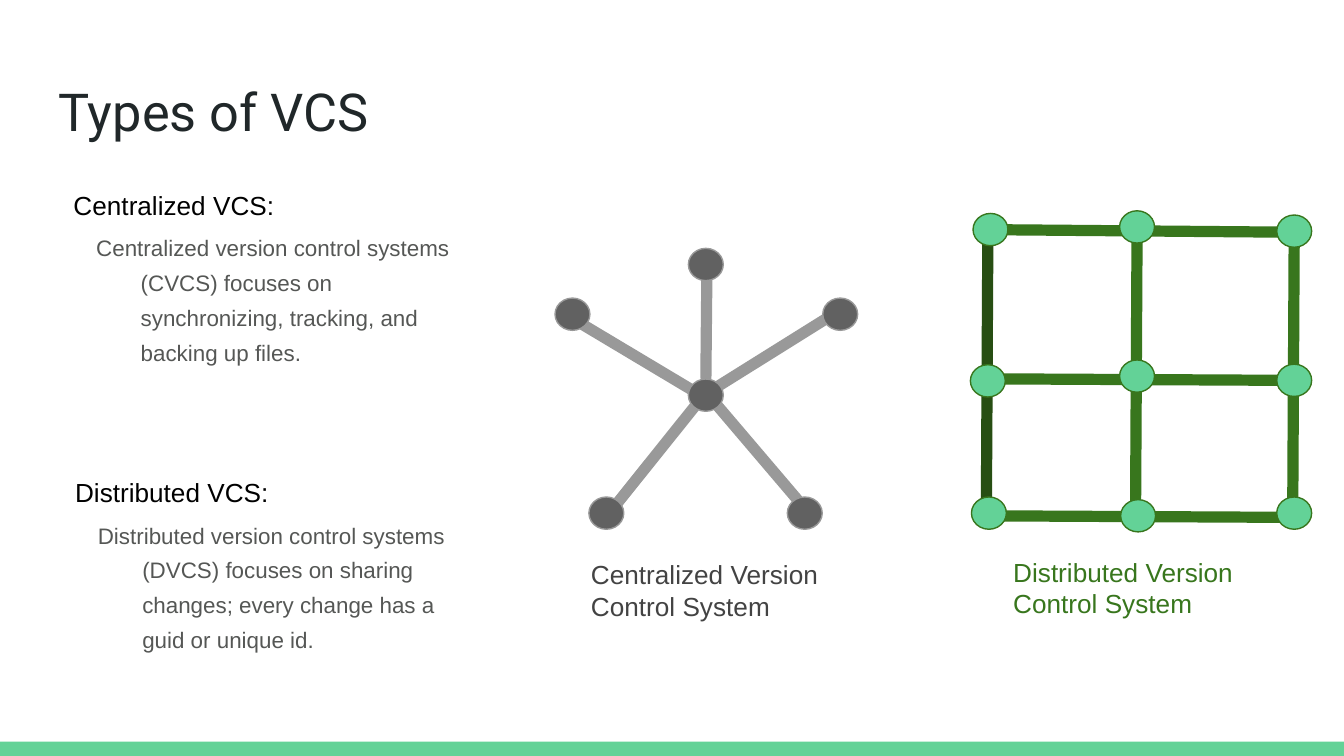
from pptx import Presentation
from pptx import util as u
from pptx.dml.color import RGBColor
from pptx.enum import shapes, text
from pptx.oxml.ns import qn
from lxml import etree

MINT = RGBColor(0x63, 0xD2, 0x97)
GREEN = RGBColor(0x38, 0x76, 0x1D)
DARK_GREEN = RGBColor(0x27, 0x4E, 0x13)
GRAY = RGBColor(0x99, 0x99, 0x99)
DARK_GRAY = RGBColor(0x61, 0x61, 0x61)
CAPTION_GRAY = RGBColor(0x43, 0x43, 0x43)
BODY_GRAY = RGBColor(0x55, 0x57, 0x55)
INK = RGBColor(0x20, 0x27, 0x29)
BLACK = RGBColor(0, 0, 0)

NODE_WIDTH, NODE_HEIGHT = 0.66, 0.61

deck = Presentation()
deck.slide_width, deck.slide_height = u.Cm(25.4), u.Cm(14.29)
page = deck.slides.add_slide(deck.slide_layouts[6])


def add_frame(left, top, width, height):
    """Add a wrapping text box and return its text frame."""
    box = page.shapes.add_textbox(u.Cm(left), u.Cm(top), u.Cm(width), u.Cm(height))
    frame = box.text_frame
    frame.word_wrap = True
    frame.vertical_anchor = text.MSO_ANCHOR.TOP
    frame.margin_left = frame.margin_right = u.Cm(0.25)
    frame.margin_top = frame.margin_bottom = u.Cm(0.25)
    return frame


def write(para, words, *, size=14, color=BLACK, font="Arial"):
    span = para.add_run()
    span.text = words
    span.font.size = u.Pt(size)
    span.font.name = font
    span.font.color.rgb = color


footer = page.shapes.add_shape(
    shapes.MSO_SHAPE.RECTANGLE, 0, u.Cm(14.02), deck.slide_width, u.Cm(0.27))
footer.shadow.inherit = False
footer.fill.solid()
footer.fill.fore_color.rgb = MINT
footer.line.fill.background()

title = add_frame(0.86, 1.24, 23.67, 1.6)
write(title.paragraphs[0], "Types of VCS", size=28, color=INK, font="Roboto")

# Each network: links (x1, y1, x2, y2, color), node centers, node fill, node outline
grid_links = [
    (18.57, 4.34, 24.49, 4.39, GREEN),
    (18.64, 9.86, 18.67, 4.29, DARK_GREEN),
    (24.54, 9.78, 18.62, 9.75, GREEN),
    (24.46, 4.27, 24.43, 9.86, GREEN),
    (21.49, 4.45, 21.46, 9.78, GREEN),
    (18.57, 7.16, 24.49, 7.19, GREEN),
]
grid_nodes = [
    (18.72, 4.34), (21.49, 4.29), (24.46, 4.37),
    (18.67, 7.2), (21.49, 7.11), (24.46, 7.19),
    (18.69, 9.7), (21.51, 9.75), (24.46, 9.7),
]
star_links = [
    (13.34, 7.16, 13.36, 5.08, GRAY),
    (11.61, 9.58, 13.18, 7.62, GRAY),
    (15.16, 9.55, 13.56, 7.67, GRAY),
    (10.87, 6.05, 13.11, 7.39, GRAY),
    (13.54, 7.32, 15.7, 5.97, GRAY),
]
star_nodes = [
    (11.46, 9.7), (15.21, 9.7), (13.34, 7.47),
    (15.88, 5.94), (13.34, 5), (10.82, 5.94),
]
networks = [
    (grid_links, grid_nodes, MINT, GREEN),
    (star_links, star_nodes, DARK_GRAY, GRAY),
]

for links, nodes, fill, outline in networks:
    for x1, y1, x2, y2, color in links:
        link = page.shapes.add_connector(
            shapes.MSO_CONNECTOR.STRAIGHT, u.Cm(x1), u.Cm(y1), u.Cm(x2), u.Cm(y2))
        link.line.color.rgb = color
        link.line.width = u.Pt(6)
        etree.SubElement(link._element.spPr, qn("a:effectLst"))
    for x, y in nodes:
        node = page.shapes.add_shape(
            shapes.MSO_SHAPE.OVAL, u.Cm(x - NODE_WIDTH / 2), u.Cm(y - NODE_HEIGHT / 2),
            u.Cm(NODE_WIDTH), u.Cm(NODE_HEIGHT))
        node.shadow.inherit = False
        node.fill.solid()
        node.fill.fore_color.rgb = fill
        node.line.color.rgb = outline
        node.line.width = u.Pt(0.75)

captions = [
    (10.92, 10.31, "Centralized Version Control System", CAPTION_GRAY),
    (18.9, 10.26, "Distributed Version Control System", GREEN),
]
for left, top, words, color in captions:
    caption = add_frame(left, top, 5.36, 1.73)
    write(caption.paragraphs[0], words, color=color)

descriptions = [
    (1.14, 3.33, "Centralized VCS:",
     "Centralized version control systems (CVCS) focuses on synchronizing, "
     "tracking, and backing up files."),
    (1.17, 8.76, "Distributed VCS:",
     "Distributed version control systems (DVCS) focuses on sharing changes; "
     "every change has a guid or unique id."),
]
for left, top, heading, body in descriptions:
    description = add_frame(left, top, 8.15, 4.57)
    write(description.paragraphs[0], heading)
    para = description.add_paragraph()
    para.line_spacing = 1.3
    para.space_before, para.space_after = u.Pt(3), u.Pt(6)
    indents = para._p.get_or_add_pPr()
    indents.set("marL", str(u.Cm(1.27)))
    indents.set("indent", str(u.Cm(-0.84)))
    write(para, body, size=12, color=BODY_GRAY)

deck.save("out.pptx")
